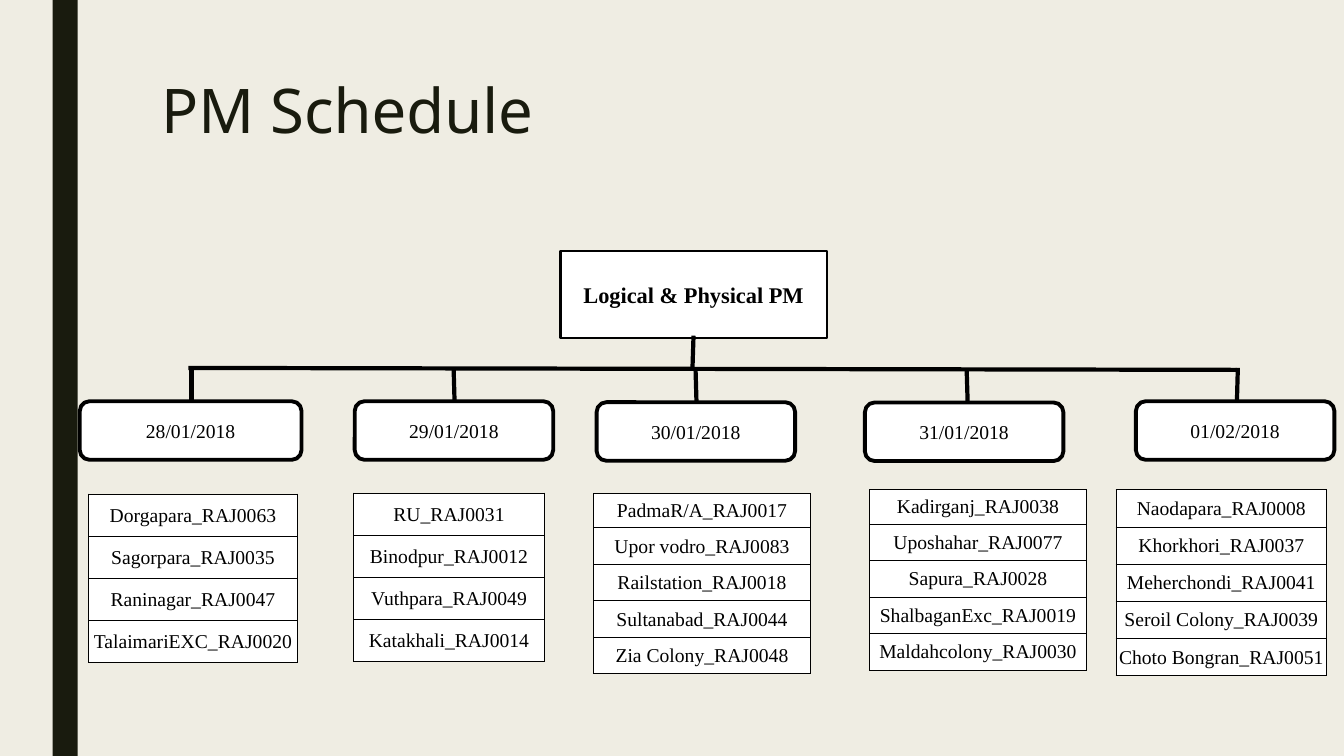
"""Build the PM schedule slide: a date tree with a site table under each date."""
from typing import NamedTuple

from pptx import Presentation
from pptx.dml.color import RGBColor
from pptx.enum.shapes import MSO_CONNECTOR, MSO_SHAPE
from pptx.enum.text import MSO_ANCHOR, PP_ALIGN
from pptx.oxml.xmlchemy import OxmlElement
from pptx.util import Pt

RECT, ROUNDED = MSO_SHAPE.RECTANGLE, MSO_SHAPE.ROUNDED_RECTANGLE
STRAIGHT = MSO_CONNECTOR.STRAIGHT
TOP, MIDDLE = MSO_ANCHOR.TOP, MSO_ANCHOR.MIDDLE
LEFT, CENTER = PP_ALIGN.LEFT, PP_ALIGN.CENTER
SERIF, SANS = "Times New Roman", "Noto Sans"
PAPER, DARK, BLACK, WHITE = "EFEDE3", "191B0E", "000000", "FFFFFF"


class Box(NamedTuple):
    x: float
    y: float
    w: float
    h: float


class Line(NamedTuple):
    x1: float
    y1: float
    x2: float
    y2: float


class Sites(NamedTuple):
    x: float
    y: float
    w: float
    first_row: float
    row: float
    names: list[str]


class Day(NamedTuple):
    date: str
    box: Box
    stem: Line
    sites: Sites


DAYS = [
    Day("28/01/2018", Box(57, 286.6, 158.4, 41.8), Line(136.8, 262.8, 136.8, 286.6),
        Sites(63.4, 352.8, 149, 30.1, 30.1,
              ["Dorgapara_RAJ0063", "Sagorpara_RAJ0035", "Raninagar_RAJ0047",
               "TalaimariEXC_RAJ0020"])),
    Day("29/01/2018", Box(253.4, 286.6, 141.8, 41.8), Line(324, 262.8, 324.7, 286.6),
        Sites(252.7, 352.1, 136.1, 30.1, 30.1,
              ["RU_RAJ0031", "Binodpur_RAJ0012", "Vuthpara_RAJ0049",
               "Katakhali_RAJ0014"])),
    Day("30/01/2018", Box(426.2, 287.3, 141.8, 41.8), Line(496.8, 262.8, 497.5, 286.6),
        Sites(424.1, 352.4, 154.8, 24.5, 26.1,
              ["PadmaR/A_RAJ0017", "Upor vodro_RAJ0083", "Railstation_RAJ0018",
               "Sultanabad_RAJ0044", "Zia Colony_RAJ0048"])),
    Day("31/01/2018", Box(617.8, 287.5, 141.8, 41.8), Line(690.5, 264.2, 691.2, 288),
        Sites(621.2, 349.7, 154.8, 24.5, 26.1,
              ["Kadirganj_RAJ0038", "Uposhahar_RAJ0077", "Sapura_RAJ0028",
               "ShalbaganExc_RAJ0019", "Maldahcolony_RAJ0030"])),
    Day("01/02/2018", Box(811.4, 286.6, 141.8, 41.8), Line(884.2, 262.8, 883.4, 291.6),
        Sites(797.2, 349.7, 150.5, 26.6, 26.6,
              ["Naodapara_RAJ0008", "Khorkhori_RAJ0037", "Meherchondi_RAJ0041",
               "Seroil Colony_RAJ0039", "Choto Bongran_RAJ0051"])),
]
BUS = Line(134.6, 262.8, 883.4, 264.2)
TRUNK = Line(495.4, 239.8, 494.6, 264.2)


def rgb(value: str) -> RGBColor:
    """Turn a hex string into a colour."""
    return RGBColor.from_string(value)


def add_text(tf, text: str, size: float, font=SERIF, color=BLACK, bold=False,
             align=CENTER):
    """Write one run into the first paragraph and return the paragraph."""
    p = tf.paragraphs[0]
    p.alignment = align
    r = p.add_run()
    r.text = text
    r.font.size, r.font.name, r.font.bold = Pt(size), font, bold
    r.font.color.rgb = rgb(color)
    return p


def add_box(s, kind, box: Box, fill: str, line_width: float = 0):
    """Draw a filled shape, outlined in black when a width is given."""
    sp = s.shapes.add_shape(kind, *map(Pt, box))
    sp.shadow.inherit = False
    sp.fill.solid()
    sp.fill.fore_color.rgb = rgb(fill)
    if line_width:
        sp.line.color.rgb = rgb(BLACK)
        sp.line.width = Pt(line_width)
    else:
        sp.line.fill.background()
    sp.text_frame.word_wrap = True
    sp.text_frame.vertical_anchor = MIDDLE
    return sp


def add_line(s, line: Line) -> None:
    """Draw a thick black connector without a shadow."""
    cxn = s.shapes.add_connector(STRAIGHT, *map(Pt, line))
    cxn.line.color.rgb = rgb(BLACK)
    cxn.line.width = Pt(3)
    cxn._element.spPr.append(OxmlElement("a:effectLst"))


def add_borders(cell, width: float) -> None:
    """Give all four sides of a cell a black line."""
    tcPr = cell._tc.get_or_add_tcPr()
    for side in "LRTB":
        ln = OxmlElement(f"a:ln{side}")
        ln.set("w", str(Pt(width)))
        fill = OxmlElement("a:solidFill")
        clr = OxmlElement("a:srgbClr")
        clr.set("val", BLACK)
        fill.append(clr)
        ln.append(fill)
        tcPr.append(ln)


def add_sites(s, sites: Sites) -> None:
    """Draw the one-column table of sites for a day."""
    count = len(sites.names)
    height = sites.first_row + sites.row * (count - 1)
    tbl = s.shapes.add_table(count, 1, Pt(sites.x), Pt(sites.y),
                             Pt(sites.w), Pt(height)).table
    tbl.first_row = tbl.horz_banding = False
    for i, name in enumerate(sites.names):
        tbl.rows[i].height = Pt(sites.row if i else sites.first_row)
        cell = tbl.cell(i, 0)
        cell.margin_left = cell.margin_right = cell.margin_top = Pt(0.7)
        cell.margin_bottom = Pt(0)
        cell.vertical_anchor = MIDDLE
        add_borders(cell, 0.5)
        cell.fill.solid()
        cell.fill.fore_color.rgb = rgb(WHITE)
        add_text(cell.text_frame, name, 14)


def main() -> None:
    """Build and save the slide."""
    prs = Presentation()
    prs.slide_width, prs.slide_height = Pt(960), Pt(540)
    s = prs.slides.add_slide(prs.slide_layouts[6])
    s.background.fill.solid()
    s.background.fill.fore_color.rgb = rgb(PAPER)

    add_box(s, RECT, Box(37.5, 0, 18, 540), DARK)
    root = add_box(s, RECT, Box(400.4, 179.3, 190.1, 61.9), WHITE, 1.5)
    add_text(root.text_frame, "Logical & Physical PM", 16, bold=True)

    for line in [BUS, TRUNK, *(day.stem for day in DAYS)]:
        add_line(s, line)
    for day in DAYS:
        sp = add_box(s, ROUNDED, day.box, WHITE, 2.75)
        add_text(sp.text_frame, day.date, 14)
        add_sites(s, day.sites)

    tf = s.shapes.add_textbox(Pt(108), Pt(54), Pt(756), Pt(116.6)).text_frame
    tf.word_wrap = True
    tf.vertical_anchor = TOP
    p = add_text(tf, "PM Schedule", 44, SANS, DARK, align=LEFT)
    p.line_spacing = 0.89
    prs.save("out.pptx")


main()
